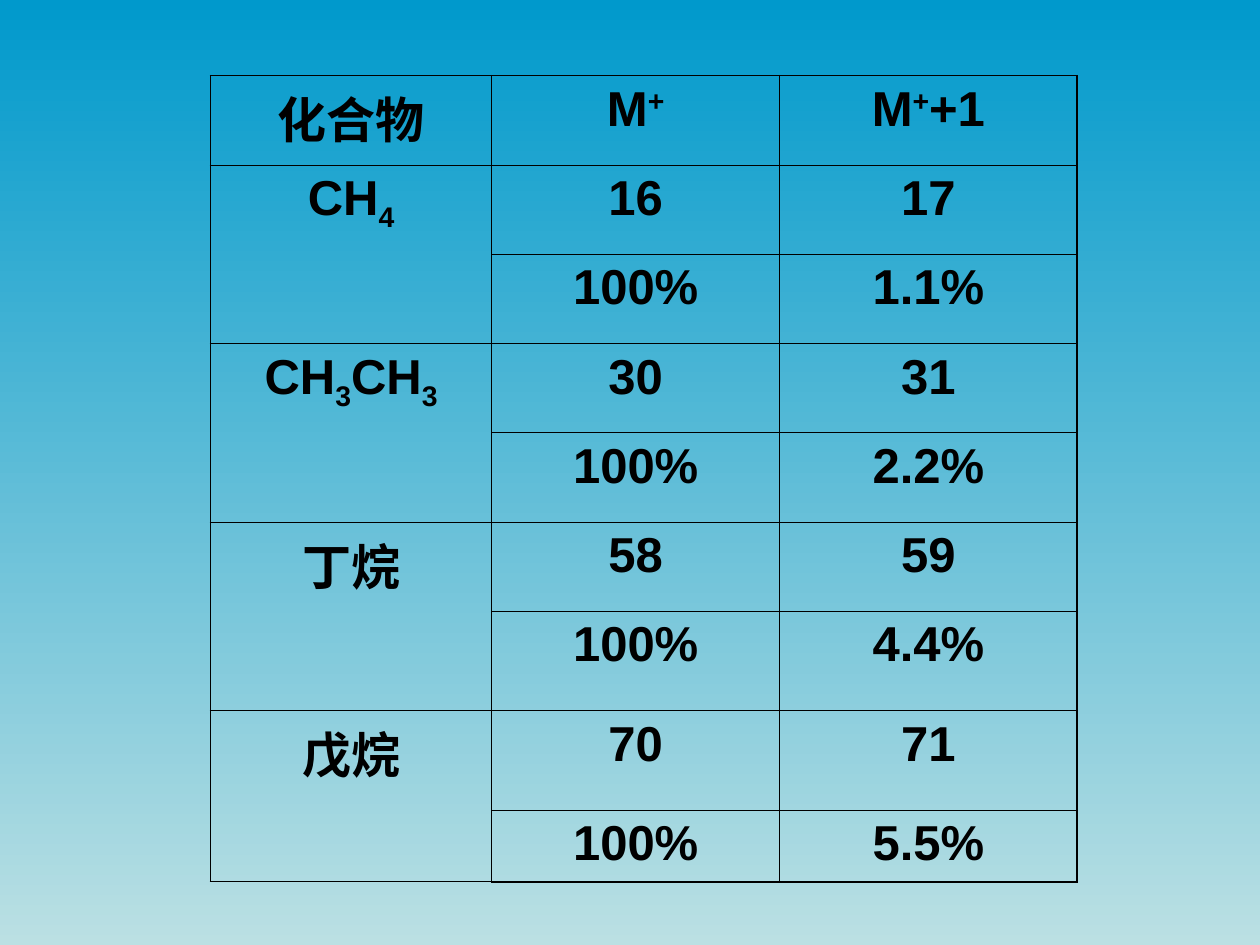
from lxml import etree
from pptx import Presentation
from pptx.dml.color import RGBColor
from pptx.enum.text import PP_ALIGN
from pptx.oxml.ns import qn
from pptx.util import Inches, Pt

CENTER = PP_ALIGN.CENTER
BLANK = 6
COLORS = {"top": "0099CC", "base": "BBE0E3", "ink": "000000"}
FONT = {"name": "Arial", "size": Pt(28), "bold": True}
SHIFTS = {"^": "30000", "_": "-25000"}
THIN, THICK = Pt(0.45), Pt(1.08)

# "|" parts the runs; "^" raises a run and "_" lowers it
HEADS = ["化合物", "M|^+", "M|^+|+1"]
GROUPS = [
    ("CH|_4", 16, "1.1%"),
    ("CH|_3|CH|_3", 30, "2.2%"),
    ("丁烷", 58, "4.4%"),
    ("戊烷", 70, "5.5%"),
]
COLS = [2.23, 2.28, 2.36]
ROWS = [0.71] * 6 + [0.79] * 2 + [0.57]


def paint(slide):
    """Fill the background with a vertical gradient."""
    fill = slide.background.fill
    fill.gradient()
    fill.gradient_angle = 270
    for stop, name in zip(fill.gradient_stops, ("top", "base")):
        stop.color.rgb = RGBColor.from_string(COLORS[name])


def write(cell, text):
    """Write centred text with raised and lowered runs."""
    para = cell.text_frame.paragraphs[0]
    para.alignment = CENTER
    para.space_before = Pt(7)
    for part in text.split("|"):
        run = para.add_run()
        run.text = part.lstrip("^_")
        for key, value in FONT.items():
            setattr(run.font, key, value)
        run.font.color.rgb = RGBColor.from_string(COLORS["ink"])
        if part[0] in SHIFTS:
            run._r.get_or_add_rPr().set("baseline", SHIFTS[part[0]])


def edge(cell, widths):
    """Draw the four cell borders and clear the fill."""
    props = cell._tc.get_or_add_tcPr()
    for side, width in widths.items():
        line = etree.SubElement(props, qn("a:ln" + side), w=str(int(width)))
        solid = etree.SubElement(line, qn("a:solidFill"))
        etree.SubElement(solid, qn("a:srgbClr"), val=COLORS["ink"])
    cell.fill.background()


def add_grid(slide, left, top, width, height):
    """Place the isotope table in the given box."""
    frame = slide.shapes.add_table(
        len(ROWS), len(COLS),
        Inches(left), Inches(top), Inches(width), Inches(height))
    table = frame.table
    table.first_row = table.horz_banding = False
    for col, size in zip(table.columns, COLS):
        col.width = Inches(size * width / sum(COLS))
    for row, size in zip(table.rows, ROWS):
        row.height = Inches(size * height / sum(ROWS))

    lines = [HEADS]
    for name, mass, share in GROUPS:
        lines += [[name, str(mass), str(mass + 1)], ["", "100%", share]]
    last, end = len(ROWS) - 1, len(COLS) - 1
    for r, line in enumerate(lines):
        for c, text in enumerate(line):
            cell = table.cell(r, c)
            edge(cell, {
                "L": THIN if c else THICK,
                "R": THICK if c == end else THIN,
                "T": THIN if r else THICK,
                "B": THICK if r == last else THIN,
            })
            if text:
                write(cell, text)
    for r in range(1, last, 2):
        table.cell(r, 0).merge(table.cell(r + 1, 0))


def main():
    """Build and save the slide."""
    deck = Presentation()
    deck.slide_width, deck.slide_height = Inches(10), Inches(7.5)
    slide = deck.slides.add_slide(deck.slide_layouts[BLANK])
    paint(slide)
    add_grid(slide, 1.67, 0.6, 6.88, 6.4)
    deck.save("out.pptx")


main()
